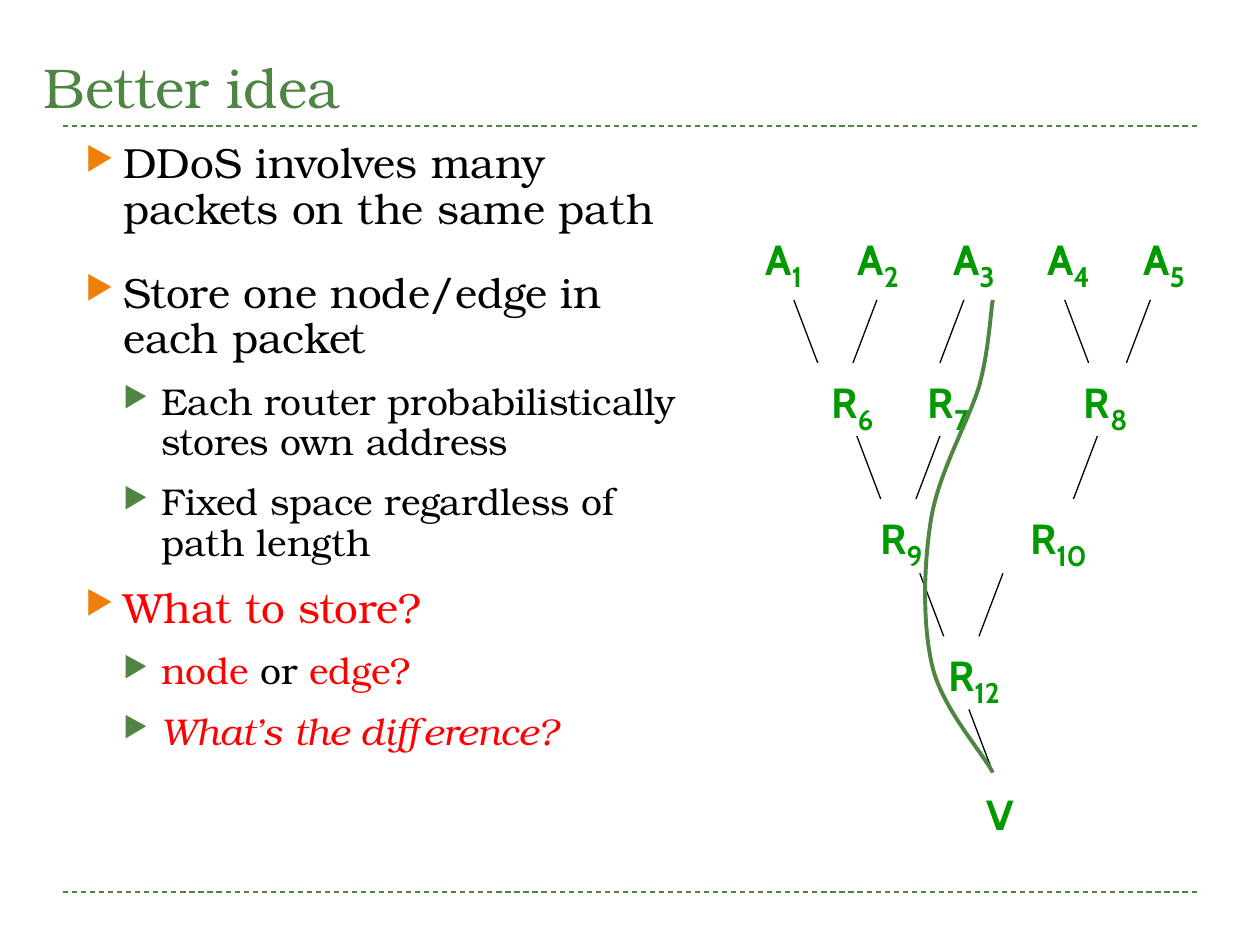
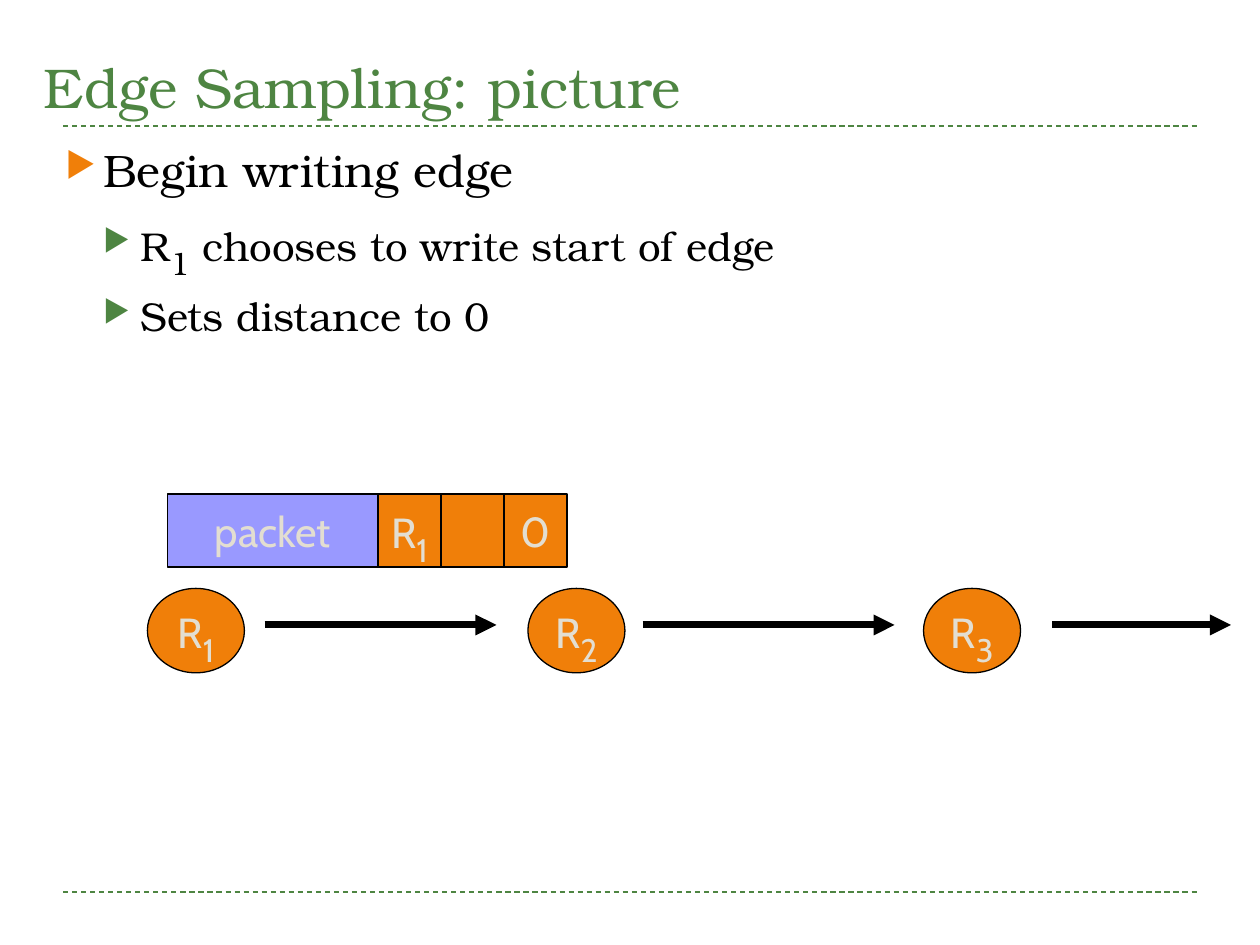
from dataclasses import dataclass
from itertools import chain
from lxml.etree import SubElement
from pptx import Presentation
from pptx.dml.color import RGBColor
from pptx.enum.dml import MSO_LINE
from pptx.enum.shapes import MSO_CONNECTOR, MSO_SHAPE
from pptx.enum.text import MSO_ANCHOR, MSO_AUTO_SIZE, PP_ALIGN
from pptx.oxml.ns import qn
from pptx.util import Pt

PX = 9144


@dataclass(frozen=True)
class Theme:
    green: str = "4E8542"
    orange: str = "F07F09"
    lilac: str = "9999FF"
    node_green: str = "009900"
    red: str = "FF0000"
    black: str = "000000"
    cream: str = "E3DED1"
    serif: str = "TeX Gyre Bonum"
    sans: str = "Cabin"
    title_size: float = 32
    label_size: float = 24
    tree_sub_size: float = 28
    chain_sub_size: float = 32
    hairline: float = 0.75
    route_line: float = 2.25
    arrow_line: float = 4


THEME = Theme()


def px(*lengths):
    return [length * PX for length in lengths]


def rgb(colour):
    return RGBColor.from_string(colour)


def style_run(run, font, size, colour, bold=False, italic=False, sub=None):
    run.font.name = font
    run.font.size = Pt(sub or size)
    run.font.color.rgb = rgb(colour)
    run.font.bold = bold
    run.font.italic = italic
    if sub:
        run.font._element.set("baseline", "-25000")


def write_label(frame, label, colour, sub_size, bold=False):
    letter, _, index = label.partition("_")
    paragraph = frame.paragraphs[0]
    paragraph.text = letter
    paragraph.alignment = PP_ALIGN.CENTER
    style_run(paragraph.runs[0], THEME.sans, THEME.label_size, colour, bold)
    if index:
        subscript = paragraph.add_run()
        subscript.text = index
        style_run(subscript, THEME.sans, THEME.label_size, colour, bold, sub=sub_size)


def add_line(shapes, start, end, colour, width):
    line = shapes.add_connector(MSO_CONNECTOR.STRAIGHT, *px(*start, *end))
    line.line.color.rgb = rgb(colour)
    line.line.width = Pt(width)
    SubElement(line._element.spPr, qn("a:effectLst"))
    return line


def add_heading(slide, title):
    for y in (708, 100):
        rule = add_line(slide.shapes, (50, y), (950, y), THEME.green, THEME.hairline)
        rule.line.dash_style = MSO_LINE.DASH
    frame = slide.shapes.add_textbox(*px(25, 17, 950, 83)).text_frame
    frame.word_wrap = True
    frame.vertical_anchor = MSO_ANCHOR.BOTTOM
    frame.text = title
    style_run(frame.paragraphs[0].runs[0], THEME.serif, THEME.title_size, THEME.green)


def set_bullet(paragraph, level):
    paragraph.level = level
    properties = paragraph._p.get_or_add_pPr()
    properties.set("marL", str(30 * PX * (level + 1)))
    properties.set("indent", str(-30 * PX))
    colour = SubElement(properties, qn("a:buClr"))
    SubElement(colour, qn("a:srgbClr"), val=(THEME.orange, THEME.green)[level])
    SubElement(properties, qn("a:buSzPct"), val="76000")
    SubElement(properties, qn("a:buChar"), char="▶")


def add_bullets(slide, box, bullets, sizes, line_spacing):
    frame = slide.shapes.add_textbox(*px(*box)).text_frame
    frame.word_wrap = True
    for number, (level, gap, pieces) in enumerate(bullets):
        paragraph = frame.add_paragraph() if number else frame.paragraphs[0]
        set_bullet(paragraph, level)
        paragraph.space_before = Pt(gap)
        paragraph.line_spacing = line_spacing
        for text, look in pieces:
            run = paragraph.add_run()
            run.text = text
            style_run(run, THEME.serif, sizes[level], **{"colour": THEME.black, **look})


def add_route(slide, start, points):
    builder = slide.shapes.build_freeform(*start, scale=PX)
    builder.add_line_segments(points, close=False)
    route = builder.convert_to_shape()
    route.shadow.inherit = False
    route.fill.background()
    route.line.color.rgb = rgb(THEME.green)
    route.line.width = Pt(THEME.route_line)
    steps = list(route._element.iter(qn("a:lnTo")))
    outline = steps[0].getparent()
    for first in range(0, len(steps), 3):
        curve = SubElement(outline, qn("a:cubicBezTo"))
        for step in steps[first:first + 3]:
            curve.append(step[0])
            outline.remove(step)


def add_router_tree(slide, left, top):
    attackers = [(f"A_{i + 1}", int(i * 75.5), 0, 56, 63) for i in range(5)]
    routers = [
        ("R_6", 55, 113, 55, 63), ("R_7", 131, 113, 55, 63), ("R_8", 256, 113, 55, 63),
        ("R_9", 94, 221, 55, 63), ("R_10", 212, 221, 68, 63), ("R_12", 145, 330, 68, 63),
        ("V", 179, 446, 40, 50),
    ]
    for label, x, y, width, height in chain(attackers, routers):
        node = slide.shapes.add_textbox(*px(left + x, top + y, width, height))
        node.text_frame.word_wrap = label == "V"
        node.text_frame.auto_size = MSO_AUTO_SIZE.SHAPE_TO_FIT_TEXT
        write_label(node.text_frame, label, THEME.node_green, THEME.tree_sub_size, True)

    lean, drop = 19, 50
    edges = {
        63: [(36, 1), (251, 1), (319, -1), (102, -1), (171, -1)],
        171: [(86, 1), (152, -1), (277, -1)],
        280: [(136, 1), (202, -1)],
        388: [(175, 1)],
    }
    for y, starts in edges.items():
        for x, side in starts:
            start = (left + x, top + y)
            end = (start[0] + side * lean, start[1] + drop)
            add_line(slide.shapes, start, end, THEME.black, THEME.hairline)

    bends = [
        (192, 74), (191, 103), (183, 132), (174, 161), (151, 200), (145, 237),
        (139, 274), (138, 320), (146, 354), (154, 387), (184, 420), (194, 438),
    ]
    add_route(slide, (left + 194, top + 63), [(left + x, top + y) for x, y in bends])


def add_labelled(shapes, kind, box, fill, label):
    shape = shapes.add_shape(kind, *px(*box))
    shape.shadow.inherit = False
    shape.fill.solid()
    shape.fill.fore_color.rgb = rgb(fill)
    shape.line.color.rgb = rgb(THEME.black)
    shape.line.width = Pt(THEME.hairline)
    if label:
        shape.text_frame.word_wrap = False
        shape.text_frame.vertical_anchor = MSO_ANCHOR.MIDDLE
        write_label(shape.text_frame, label, THEME.cream, THEME.chain_sub_size)


def add_router_chain(slide, left, top):
    for start, end in ((93, 277), (393, 593), (718, 860)):
        y = top + 104
        arrow = add_line(slide.shapes, (left + start, y), (left + end, y),
                         THEME.black, THEME.arrow_line)
        SubElement(arrow.line._get_or_add_ln(), qn("a:tailEnd"), type="triangle")
    for number, x in enumerate((0, 302, 616), 1):
        add_labelled(slide.shapes, MSO_SHAPE.OVAL, (left + x, top + 75, 77, 67),
                     THEME.orange, f"R_{number}")
    packet = slide.shapes.add_group_shape().shapes
    add_labelled(packet, MSO_SHAPE.RECTANGLE, (left + 16, top, 167, 58),
                 THEME.lilac, "packet")
    for number, field in enumerate(("R_1", "", "0")):
        add_labelled(packet, MSO_SHAPE.RECTANGLE, (left + 183 + 50 * number, top, 50, 58),
                     THEME.orange, field)


def build_better_idea(slide):
    red = {"colour": THEME.red}
    add_heading(slide, "Better idea")
    add_bullets(slide, (58, 108, 507, 575), [
        (0, 0, [("DDoS involves many packets on the same path", {})]),
        (0, 22, [("Store one node/edge in each packet", {})]),
        (1, 11.5, [("Each router probabilistically stores own address", {})]),
        (1, 11.5, [("Fixed space regardless of path length", {})]),
        (0, 13, [("What to store?", red)]),
        (1, 11.5, [("node ", red), ("or", {}), (" edge?", red)]),
        (1, 11.5, [("What’s the difference?", {**red, "italic": True})]),
    ], sizes=(24.1, 21.3), line_spacing=0.9)
    add_router_tree(slide, 594, 175)


def build_edge_sampling(slide):
    add_heading(slide, "Edge Sampling: picture")
    add_bullets(slide, (42, 108, 875, 208), [
        (0, 0, [("Begin writing edge", {})]),
        (1, 5, [("R", {}), ("1", {"sub": THEME.chain_sub_size}),
                (" chooses to write start of edge", {})]),
        (1, 5, [("Sets distance to 0", {})]),
    ], sizes=(26, 23), line_spacing=1.0)
    add_router_chain(slide, 117, 392)


def main():
    deck = Presentation()
    deck.slide_width, deck.slide_height = px(1000, 750)
    for build in (build_better_idea, build_edge_sampling):
        build(deck.slides.add_slide(deck.slide_layouts[6]))
    deck.save("out.pptx")


if __name__ == "__main__":
    main()
